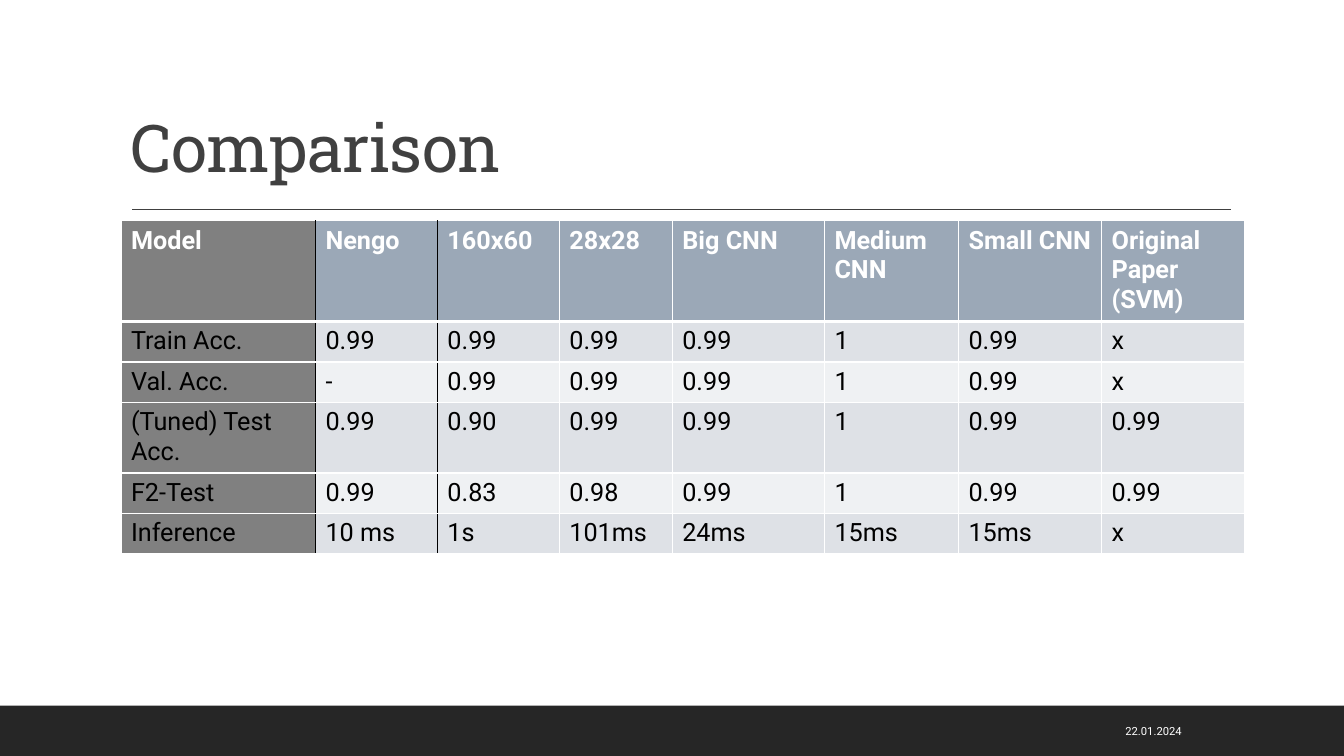
from lxml import etree
from pptx import Presentation, util as u
from pptx.dml.color import RGBColor
from pptx.enum import shapes, text
from pptx.oxml import ns

WIDTH, HEIGHT = u.Inches(13.33), u.Inches(7.5)
GRID_COLUMNS, GRID_ROWS = 40, 30
WHITE, BLACK, GRAPHITE = "FFFFFF", "000000", "404040"
FOOTER, MODEL_COLUMN, HEADER = "262626", "808080", "9BA8B7"
BANDS = ["DEE1E6", "EFF1F3"]
COLUMN_WIDTHS = [5.79, 3.63, 3.63, 3.36, 4.53, 3.99, 4.26, 4.26]
ROW_HEIGHTS = [2.64] + [1.52] * 5
RESULTS = [
    ["Model", "Nengo", "160x60", "28x28", "Big CNN", "Medium CNN", "Small CNN", "Original Paper (SVM)"],
    ["Train Acc.", "0.99", "0.99", "0.99", "0.99", "1", "0.99", "x"],
    ["Val. Acc.", "-", "0.99", "0.99", "0.99", "1", "0.99", "x"],
    ["(Tuned) Test Acc.", "0.99", "0.90", "0.99", "0.99", "1", "0.99", "0.99"],
    ["F2-Test", "0.99", "0.83", "0.98", "0.99", "1", "0.99", "0.99"],
    ["Inference", "10 ms", "1s", "101ms", "24ms", "15ms", "15ms", "x"],
]


def across(columns):
    return round(WIDTH * columns / GRID_COLUMNS)


def down(rows):
    return round(HEIGHT * rows / GRID_ROWS)


def area(left, top, width, height):
    return across(left), down(top), across(width), down(height)


def color(value):
    return RGBColor.from_string(value)


def paint(fill, value):
    fill.solid()
    fill.fore_color.rgb = color(value)


def style(run, size, face, value, bold=False):
    run.font.size = u.Pt(size)
    run.font.name = face
    run.font.bold = bold
    run.font.color.rgb = color(value)


def add_footer_bar(slide):
    bar = slide.shapes.add_shape(shapes.MSO_SHAPE.RECTANGLE, *area(0, 28, GRID_COLUMNS, 2))
    bar.shadow.inherit = False
    paint(bar.fill, FOOTER)
    bar.line.fill.background()


def add_rule(slide, start, end, row):
    rule = slide.shapes.add_connector(
        shapes.MSO_CONNECTOR.STRAIGHT, across(start), down(row), across(end), down(row))
    rule.line.color.rgb = color(GRAPHITE)
    rule.line.width = u.Pt(1)
    etree.SubElement(rule._element.spPr, ns.qn("a:effectLst"))


def add_label(slide, wording, place, anchor, align, size, face, value):
    frame = slide.shapes.add_textbox(*area(*place)).text_frame
    frame.word_wrap = True
    frame.vertical_anchor = anchor
    frame.text = wording
    paragraph = frame.paragraphs[0]
    paragraph.alignment = align
    style(paragraph.runs[0], size, face, value)
    return paragraph


def add_title(slide, wording):
    title = add_label(slide, wording, (3.6, 1.24, 33, 6.36), text.MSO_ANCHOR.BOTTOM,
                      text.PP_ALIGN.LEFT, 47, "Roboto Slab", GRAPHITE)
    title.line_spacing = 0.9
    title.runs[0]._r.get_or_add_rPr().set("spc", "-50")


def add_borders(cell, row, column):
    borders = [
        ("a:lnL", BLACK if column in (1, 2) else WHITE, 1),
        ("a:lnR", BLACK if column in (0, 1) else WHITE, 1),
        ("a:lnT", WHITE, 3 if row == 1 else 1),
        ("a:lnB", WHITE, 3 if row == 0 else 1),
    ]
    properties = cell._tc.get_or_add_tcPr()
    for position, (side, value, width) in enumerate(borders):
        border = etree.Element(ns.qn(side), w=str(u.Pt(width)))
        solid = etree.SubElement(border, ns.qn("a:solidFill"))
        etree.SubElement(solid, ns.qn("a:srgbClr"), val=value)
        properties.insert(position, border)


def cell_fill(row, column):
    if column == 0:
        return MODEL_COLUMN
    return HEADER if row == 0 else BANDS[(row - 1) % 2]


def add_results(slide):
    place = area(3.6, 8.76, sum(COLUMN_WIDTHS), sum(ROW_HEIGHTS))
    table = slide.shapes.add_table(len(RESULTS), len(COLUMN_WIDTHS), *place).table
    for column, width in zip(table.columns, COLUMN_WIDTHS):
        column.width = across(width)
    for row, height in zip(table.rows, ROW_HEIGHTS):
        row.height = down(height)
    for row, entries in enumerate(RESULTS):
        for column, entry in enumerate(entries):
            cell = table.cell(row, column)
            cell.text_frame.text = entry
            heading = row == 0
            style(cell.text_frame.paragraphs[0].runs[0], 18, "Roboto",
                  WHITE if heading else BLACK, heading)
            paint(cell.fill, cell_fill(row, column))
            add_borders(cell, row, column)


def main():
    deck = Presentation()
    deck.slide_width, deck.slide_height = WIDTH, HEIGHT
    slide = deck.slides.add_slide(deck.slide_layouts[6])
    add_footer_bar(slide)
    add_rule(slide, 3.93, 36.63, 8.32)
    add_title(slide, "Comparison")
    add_label(slide, "22.01.2024", (26.97, 28.2, 8.5, 1.6), text.MSO_ANCHOR.MIDDLE,
              text.PP_ALIGN.RIGHT, 8, "Roboto", WHITE)
    add_results(slide)
    deck.save("out.pptx")


if __name__ == "__main__":
    main()
